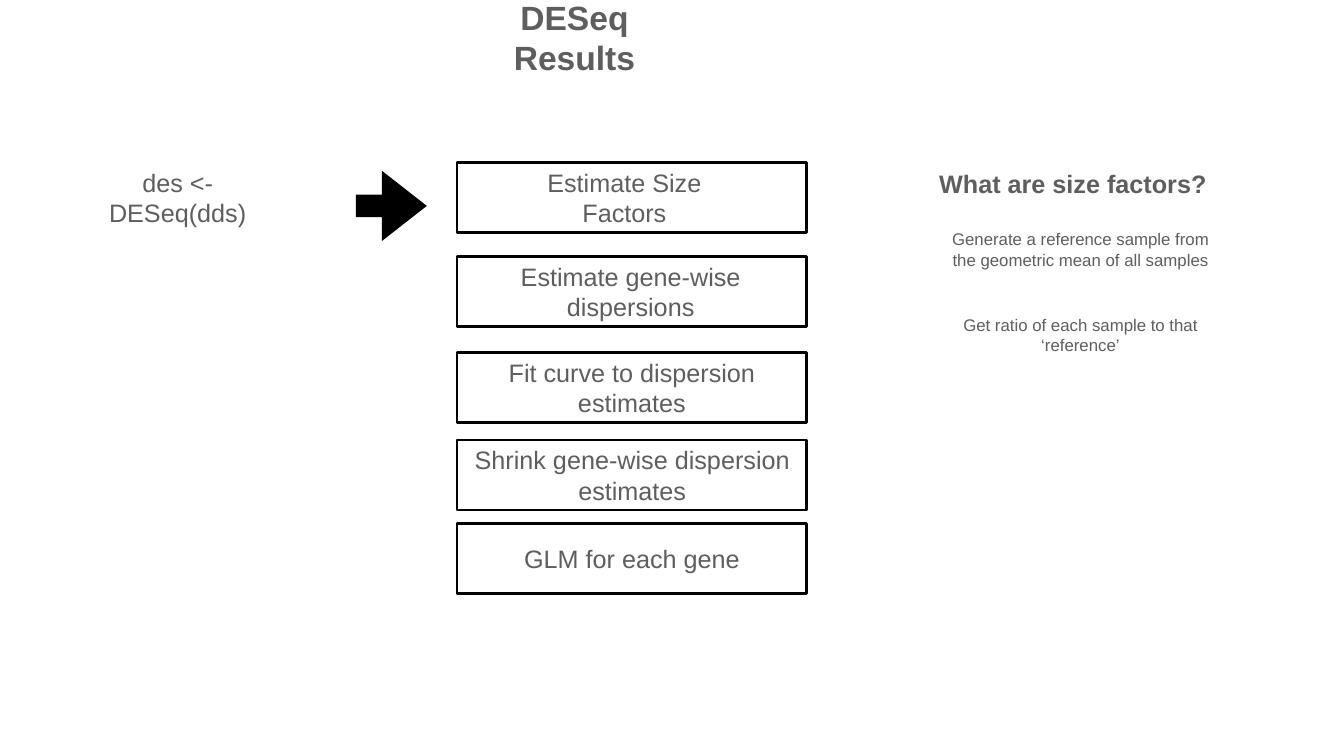
from dataclasses import dataclass

from pptx import Presentation
from pptx.dml.color import RGBColor
from pptx.enum.shapes import MSO_SHAPE
from pptx.enum.text import MSO_ANCHOR, PP_ALIGN
from pptx.util import Inches, Pt

RECT, ARROW = MSO_SHAPE.RECTANGLE, MSO_SHAPE.RIGHT_ARROW
MIDDLE, CENTER = MSO_ANCHOR.MIDDLE, PP_ALIGN.CENTER


@dataclass(frozen=True)
class Theme:
    font: str = "Arial"
    ink: RGBColor = RGBColor(0x5E, 0x5E, 0x5E)
    black: RGBColor = RGBColor(0, 0, 0)
    title: int = 48
    body: int = 36
    note: int = 24
    line: int = 4
    pad: float = 0.06


THEME = Theme()

# Label, top of the frame, then left, width and height of the text
STEPS = [
    ("Estimate Size Factors", 3.22, 9.9, 4.98, 0.69),
    ("Estimate gene-wise dispersions", 5.09, 9.21, 6.61, 1.29),
    ("Fit curve to dispersion estimates", 6.99, 9.26, 6.56, 1.29),
    ("Shrink gene-wise dispersion estimates", 8.73, 9.05, 6.99, 1.29),
    ("GLM for each gene", 10.39, 10.33, 4.42, 0.69),
]
NOTES = [
    "Generate a reference sample from the geometric mean of all samples",
    "Get ratio of each sample to that ‘reference’",
]


def add_text(shapes, text, box, size, bold=False, wrap=True, right=THEME.pad):
    """Centred text; a wide right inset narrows the column it wraps in."""
    frame = shapes.add_textbox(*map(Inches, box)).text_frame
    frame.word_wrap = wrap
    frame.vertical_anchor = MIDDLE
    frame.margin_left = frame.margin_top = frame.margin_bottom = Inches(THEME.pad)
    frame.margin_right = Inches(right)
    frame.text = text
    para = frame.paragraphs[0]
    para.alignment = CENTER
    font = para.runs[0].font
    font.name, font.size, font.bold = THEME.font, Pt(size), bold
    font.color.rgb = THEME.ink


def add_call(shapes, left, top):
    """The command and the arrow that leads to the steps."""
    add_text(shapes, "des <- DESeq(dds)", (left, top + 0.18, 4.36, 0.69),
             THEME.body, right=1.55)
    arrow = shapes.add_shape(ARROW, Inches(left + 4.97), Inches(top),
                             Inches(1.41), Inches(1.39))
    arrow.adjustments[0], arrow.adjustments[1] = 0.32, 0.64
    arrow.shadow.inherit = False
    arrow.fill.solid()
    arrow.fill.fore_color.rgb = THEME.black
    arrow.line.fill.background()


def add_steps(shapes, left, width, height):
    for label, top, text_left, text_width, text_height in STEPS:
        group = shapes.add_group_shape().shapes
        text_top = top + (height - text_height) / 2
        add_text(group, label, (text_left, text_top, text_width, text_height),
                 THEME.body, wrap=text_height > 1)
        frame = group.add_shape(RECT, *map(Inches, (left, top, width, height)))
        frame.shadow.inherit = False
        frame.fill.background()
        frame.line.color.rgb = THEME.black
        frame.line.width = Pt(THEME.line)


def add_notes(shapes, left, top):
    add_text(shapes, "What are size factors?", (left, top, 5.44, 0.71),
             THEME.body, bold=True, wrap=False)
    for i, note in enumerate(NOTES):
        add_text(shapes, note, (left + 0.06, top + 1.21 + 1.69 * i, 5.62, 0.91),
                 THEME.note)


def main():
    deck = Presentation()
    deck.slide_width, deck.slide_height = Inches(26.67), Inches(15)
    shapes = deck.slides.add_slide(deck.slide_layouts[6]).shapes
    add_text(shapes, "DESeq Results", (10.12, 0.29, 4.84, 0.9),
             THEME.title, bold=True, right=2.34)
    add_call(shapes, 2.09, 3.39)
    add_steps(shapes, 9.07, 6.93, 1.39)
    add_notes(shapes, 18.57, 3.28)
    deck.save("out.pptx")


if __name__ == "__main__":
    main()
